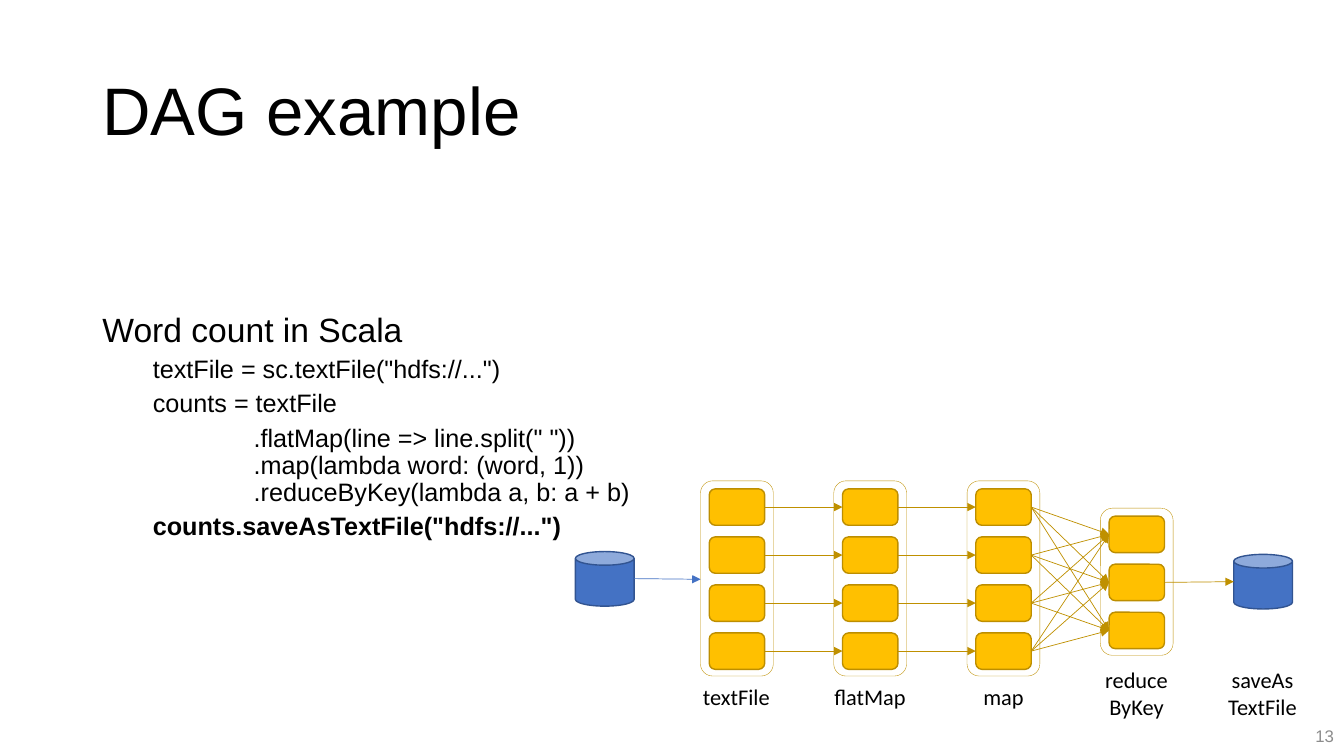
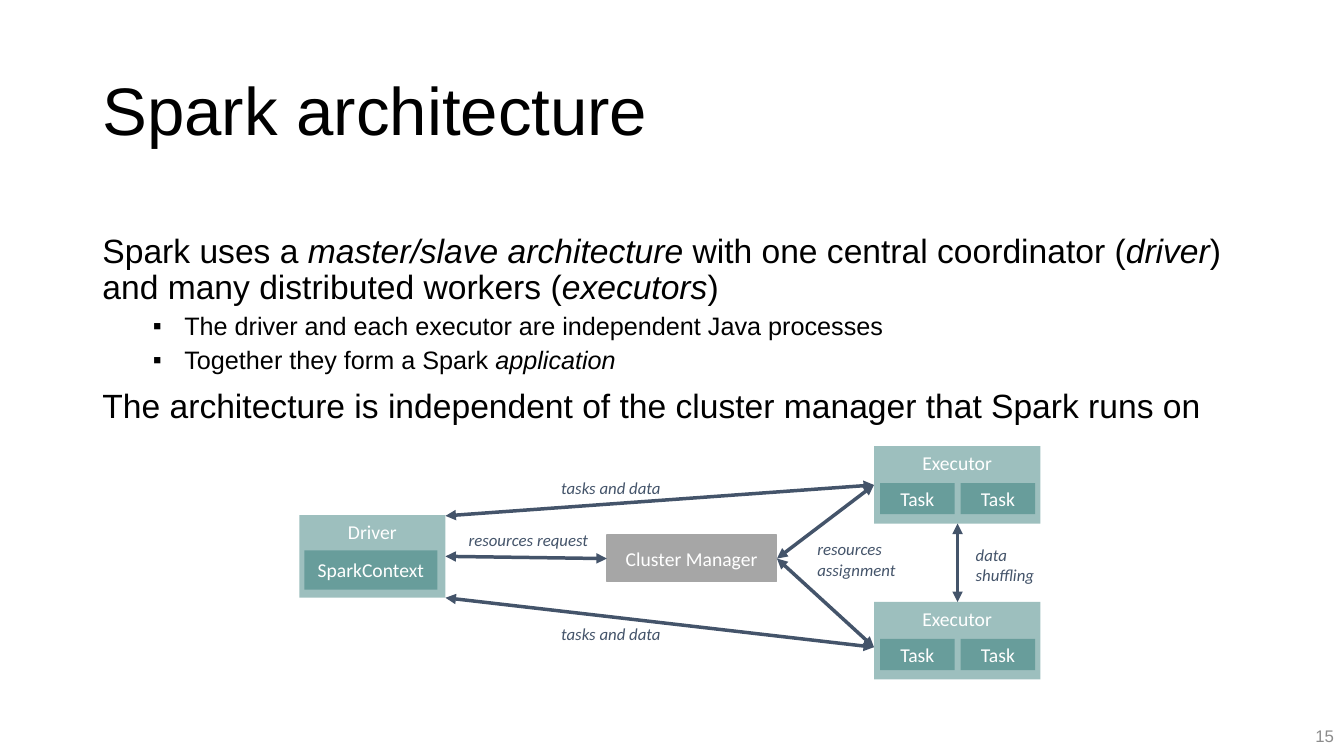
"""Build two slides on Spark: a DAG example and the cluster architecture."""
import lxml.etree
import pptx
import pptx.dml.color
import pptx.enum.shapes
import pptx.enum.text
import pptx.oxml.ns
import pptx.util

Pt = pptx.util.Pt
SHAPE = pptx.enum.shapes.MSO_SHAPE
ANCHOR = pptx.enum.text.MSO_ANCHOR
ALIGN = pptx.enum.text.PP_ALIGN
qn = pptx.oxml.ns.qn

COLOURS = {
    "black": "000000", "white": "FFFFFF", "number": "8C8C8C",
    "storage": "4472C4", "storage edge": "325491",
    "task": "FFC000", "task edge": "BD8E00", "stage": "BF9000",
    "machine": "9DBFBE", "process": "689D9B", "manager": "A6A6A6", "ink": "44546A",
}
TITLE_AREA = (66, 29, 828, 104.4)
BODY_AREA = (66, 133.75, 828, 343)
NUMBER_AREA = (744, 511, 216, 29)

# level, size, space before, left margin, indent, bullet, bold
STYLES = {
    "lead": (0, 24, 10, 0, 0, None, False),
    "code": (1, 18, 5, 36, 0, None, False),
    "chain": (1, 18, 5, 108, 0, None, False),
    "result": (1, 18, 5, 36, 0, None, True),
    "point": (1, 18, 5, 58.5, -22.5, "▪", False),
}
SLIDES = [
    ("DAG example", "13", 3.6, [
        ("lead", "Word count in Scala"),
        ("code", 'textFile = sc.textFile("hdfs://...")'),
        ("code", "counts = textFile"),
        ("chain", '.flatMap(line => line.split(" "))\v.map(lambda word: (word, 1))'
                  "\v.reduceByKey(lambda a, b: a + b)"),
        ("result", 'counts.saveAsTextFile("hdfs://...")'),
    ]),
    ("Spark architecture", "15", 143, [
        ("lead", "Spark uses a *master/slave architecture* with one central coordinator "
                 "(*driver*) and many distributed workers (*executors*)"),
        ("point", "The driver and each executor are independent Java processes"),
        ("point", "Together they form a Spark *application*"),
        ("lead", "The architecture is independent of the cluster manager that Spark runs on"),
    ]),
]


def add_node(page, preset, area, text="", fill=None, edge=None, weight=1, size=14,
             colour="white", font="Calibri", anchor=ANCHOR.MIDDLE, align=ALIGN.CENTER,
             italic=False):
    lengths = [Pt(length) for length in area]
    if preset is None:
        box = page.shapes.add_textbox(*lengths)
    else:
        box = page.shapes.add_shape(preset, *lengths)
        box.shadow.inherit = False
        for paint, name in ((box.fill, fill), (box.line.fill, edge)):
            if name:
                paint.solid()
                paint.fore_color.rgb = pptx.dml.color.RGBColor.from_string(COLOURS[name])
            else:
                paint.background()
        if edge:
            box.line.width = Pt(weight)
    frame = box.text_frame
    frame.word_wrap = preset is not None
    frame.vertical_anchor = anchor
    if text:
        frame.text = text
        for para in frame.paragraphs:
            para.alignment = align
            for span in para.runs:
                span.font.size = Pt(size)
                span.font.name = font
                span.font.italic = italic
                span.font.color.rgb = pptx.dml.color.RGBColor.from_string(COLOURS[colour])
    return box


def add_arrow(page, start, end, colour, weight, ends=("tailEnd",)):
    arrow = page.shapes.add_connector(
        pptx.enum.shapes.MSO_CONNECTOR.STRAIGHT, *[Pt(length) for length in (*start, *end)])
    arrow.line.color.rgb = pptx.dml.color.RGBColor.from_string(COLOURS[colour])
    arrow.line.width = Pt(weight)
    properties = arrow._element.spPr
    for name in ends:
        lxml.etree.SubElement(properties.find(qn("a:ln")), qn("a:" + name), type="triangle")
    lxml.etree.SubElement(properties, qn("a:effectLst"))


deck = pptx.Presentation()
deck.slide_width, deck.slide_height = Pt(960), Pt(540)
pages = []
for title, number, bottom, content in SLIDES:
    page = deck.slides.add_slide(deck.slide_layouts[1])
    pages.append(page)
    heading, body = page.shapes.title, page.placeholders[1]
    for box, area in ((heading, TITLE_AREA), (body, BODY_AREA)):
        box.left, box.top, box.width, box.height = [Pt(length) for length in area]
        box.text_frame.word_wrap = True
        box.text_frame.auto_size = pptx.enum.text.MSO_AUTO_SIZE.NONE
        box.text_frame.vertical_anchor = ANCHOR.MIDDLE
    heading.text_frame.text = title
    para = heading.text_frame.paragraphs[0]
    para.alignment = ALIGN.LEFT
    para.line_spacing = 0.9
    para.runs[0].font.size = Pt(48)
    body.text_frame.margin_bottom = Pt(bottom)
    for index, (style, text) in enumerate(content):
        level, size, before, margin, indent, bullet, bold = STYLES[style]
        para = body.text_frame.paragraphs[0] if index == 0 else body.text_frame.add_paragraph()
        para.level = level
        para.line_spacing = 0.9
        para.space_before = Pt(before)
        properties = para._p.get_or_add_pPr()
        properties.set("marL", str(Pt(margin)))
        properties.set("indent", str(Pt(indent)))
        if bullet:
            lxml.etree.SubElement(properties, qn("a:buChar"), char=bullet)
        else:
            lxml.etree.SubElement(properties, qn("a:buNone"))
        if "\v" in text:
            para.text = text
        else:
            for order, part in enumerate(text.split("*")):
                if part:
                    span = para.add_run()
                    span.text = part
                    span.font.italic = order % 2 == 1
        for span in para.runs:
            span.font.size = Pt(size)
            span.font.bold = bold
        for line_break in para._p.findall(qn("a:br")):
            lxml.etree.SubElement(line_break, qn("a:rPr"), sz=str(size * 100))
    for para in (*heading.text_frame.paragraphs, *body.text_frame.paragraphs):
        for span in para.runs:
            span.font.name = "Arial"
            span.font.color.rgb = pptx.dml.color.RGBColor.from_string(COLOURS["black"])
    box = add_node(page, None, NUMBER_AREA, number, size=12, colour="number", font="Arial",
                   align=ALIGN.RIGHT)
    box.text_frame.word_wrap = True

dag, architecture = pages

for left, top in ((411, 394), (881.25, 396)):
    add_node(dag, SHAPE.CAN, (left, top, 42, 39), fill="storage", edge="storage edge")

STAGE_LEFT, STAGE_STEP, STAGE_WIDTH = 500.4, 95.2, 52
TASK_WIDTH, TASK_HEIGHT, TASK_STEP = 39.6, 26, 34.3
stages = []
for index, (count, top) in enumerate(((4, 343.5), (4, 343.5), (4, 343.5), (3, 363))):
    left = STAGE_LEFT + index * STAGE_STEP
    add_node(dag, SHAPE.ROUNDED_RECTANGLE, (left, top, STAGE_WIDTH, count * TASK_STEP + 2.2),
             edge="stage", weight=0.25)
    task_left = left + 6.2
    middles = []
    for row in range(count):
        task_top = top + 5.7 + row * TASK_STEP
        add_node(dag, SHAPE.ROUNDED_RECTANGLE, (task_left, task_top, TASK_WIDTH, TASK_HEIGHT),
                 fill="task", edge="task edge")
        middles.append(task_top + TASK_HEIGHT / 2)
    stages.append((task_left, middles))

add_arrow(dag, (453, 413.3), (STAGE_LEFT, 413.8), "storage", 0.5)
for index in range(3):
    (left, sources), (target_left, targets) = stages[index:index + 2]
    for row, source in enumerate(sources):
        for target in targets if index == 2 else [targets[row]]:
            add_arrow(dag, (left + TASK_WIDTH, source), (target_left, target), "stage", 0.5)
left, middles = stages[-1]
add_arrow(dag, (left + TASK_WIDTH, middles[1]), (881.25, 415.5), "stage", 0.5)

for centre, width, text in ((526, 62.6, "textFile"), (621.4, 66.2, "flatMap"),
                            (716.8, 44, "map"), (811.8, 59.8, "reduce\nByKey"),
                            (901.8, 64, "saveAs\nTextFile")):
    top, height = (472.3, 46) if "\n" in text else (484.5, 26.6)
    add_node(dag, None, (centre - width / 2, top, width, height), text, size=16,
             colour="black", anchor=ANCHOR.TOP)

add_node(architecture, SHAPE.RECTANGLE, (433.5, 382.3, 121, 33.1), "Cluster Manager",
         fill="manager", edge="manager")
add_node(architecture, SHAPE.RECTANGLE, (213.8, 368, 104.4, 59), "Driver",
         fill="machine", anchor=ANCHOR.TOP)
add_node(architecture, SHAPE.RECTANGLE, (217.4, 393.1, 95, 28.1), "SparkContext", fill="process")
for top in (318.7, 430):
    add_node(architecture, SHAPE.RECTANGLE, (624.3, top, 118.8, 55.3), "Executor",
             fill="machine", anchor=ANCHOR.TOP)
    for left in (628.6, 686.2):
        add_node(architecture, SHAPE.RECTANGLE, (left, top + 26.3, 53.3, 22.3), "Task",
                 fill="process")

manager_right, executor_high, executor_low = (555, 399), (624.3, 346.4), (624.3, 462.3)
for start, end in (((684, 374), (684, 430)), ((318.2, 397.4), (433.5, 399)),
                   (manager_right, executor_high), (manager_right, executor_low),
                   ((318.2, 368.5), executor_high), ((318.2, 427), executor_low)):
    add_arrow(architecture, start, end, "ink", 2.5, ("headEnd", "tailEnd"))

for left, top, width, height, text in ((327.6, 375, 101, 21.8, "resources request"),
                                       (393.8, 337.7, 85.7, 21.8, "tasks and data"),
                                       (393.8, 442, 85.7, 21.8, "tasks and data"),
                                       (576.7, 381.6, 70.6, 36.3, "resources\nassignment"),
                                       (689.8, 385.2, 57, 36.3, "data\nshuffling")):
    add_node(architecture, None, (left, top, width, height), text, size=12, colour="ink",
             anchor=ANCHOR.TOP, align=ALIGN.LEFT, italic=True)

deck.save("out.pptx")
